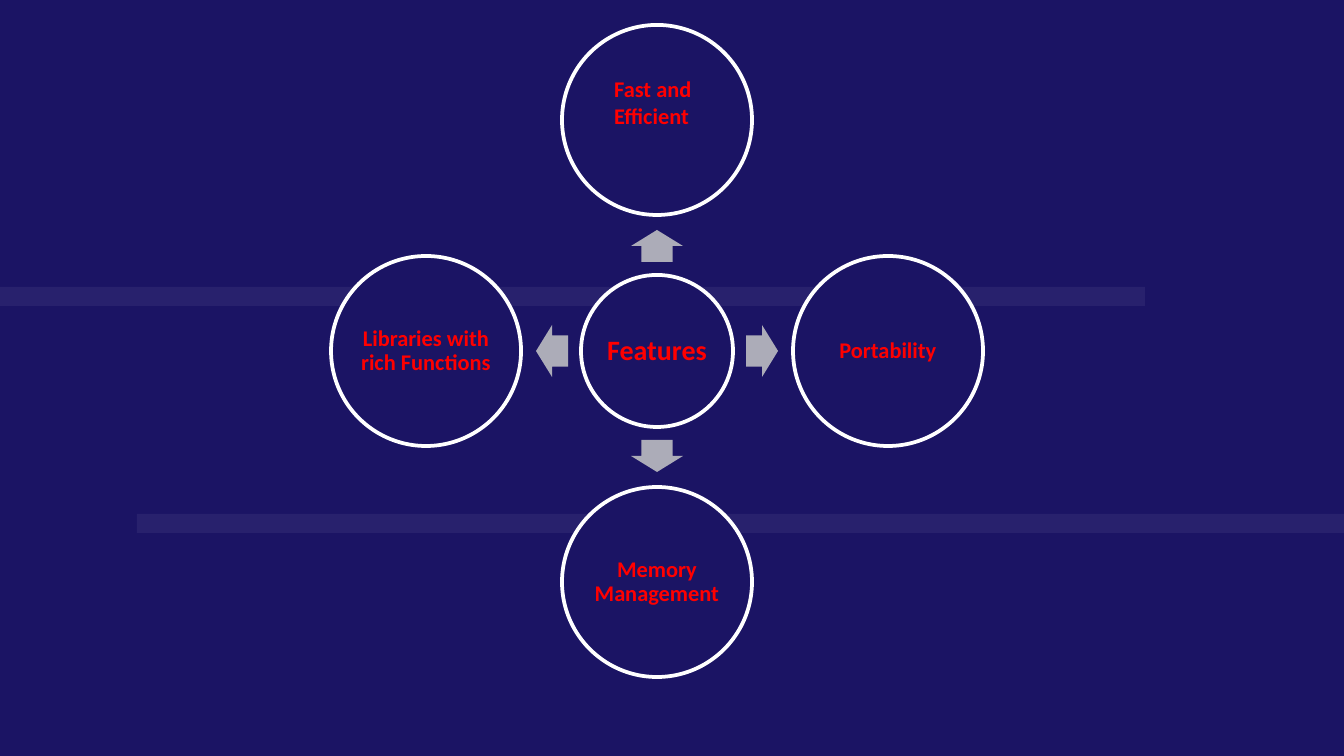
import pptx
import pptx.util
import pptx.dml.color
import pptx.enum.shapes
import pptx.enum.text
import lxml.etree

SHAPES = pptx.enum.shapes.MSO_SHAPE
ALIGN = pptx.enum.text.PP_ALIGN
ANCHOR = pptx.enum.text.MSO_ANCHOR
NAVY, WHITE, GREY, RED = "1B1464", "FFFFFF", "ACACB8", "FF0000"


def px(length):
    return pptx.util.Emu(round(length * 914400 / 134.4))


def colour(value):
    return pptx.dml.color.RGBColor.from_string(value)


class Slide:
    font = "Calibri"

    def __init__(self, page):
        self.page = page
        page.background.fill.solid()
        page.background.fill.fore_color.rgb = colour(NAVY)

    def shape(self, kind, left, top, width, height, fill):
        shape = self.page.shapes.add_shape(kind, px(left), px(top), px(width), px(height))
        shape.shadow.inherit = False
        shape.fill.solid()
        shape.fill.fore_color.rgb = colour(fill)
        shape.line.fill.background()
        return shape

    def band(self, left, top, width):
        band = self.shape(SHAPES.RECTANGLE, left, top, width, 19, WHITE)
        tint = band.fill._xPr.find(".//" + pptx.oxml.ns.qn("a:srgbClr"))
        lxml.etree.SubElement(tint, pptx.oxml.ns.qn("a:alpha"), val="6000")

    def circle(self, x, y, size):
        circle = self.shape(SHAPES.OVAL, x - size / 2, y - size / 2, size, size, NAVY)
        circle.line.color.rgb = colour(WHITE)
        circle.line.width = pptx.util.Pt(2)

    def arrow(self, x, y, angle):
        arrow = self.shape(SHAPES.RIGHT_ARROW, x - 16, y - 26, 32, 52, GREY)
        arrow.adjustments[0] = 0.6
        arrow.adjustments[1] = 0.5
        arrow.rotation = angle

    def text(self, words, left, top, width, height, size=12):
        box = self.page.shapes.add_textbox(px(left), px(top), px(width), px(height))
        box.text_frame.word_wrap = True
        para = box.text_frame.paragraphs[0]
        para.text = words
        para.font.name = self.font
        para.font.size = pptx.util.Pt(size)
        para.font.bold = True
        para.font.color.rgb = colour(RED)
        return box.text_frame

    def label(self, words, x, y, side, size=12):
        frame = self.text(words, x - side / 2, y - side / 2, side, side, size)
        frame.margin_left = frame.margin_right = px(2)
        frame.margin_top = frame.margin_bottom = px(2)
        frame.vertical_anchor = ANCHOR.MIDDLE
        frame.paragraphs[0].alignment = ALIGN.CENTER
        frame.paragraphs[0].line_spacing = 0.9


def main():
    deck = pptx.Presentation()
    deck.slide_width, deck.slide_height = px(1344), px(756)
    slide = Slide(deck.slides.add_slide(deck.slide_layouts[6]))

    # Background bands
    slide.band(0, 287, 1145)
    slide.band(137, 514, 1207)

    # Hub
    hub_x, hub_y = 657, 351
    slide.circle(hub_x, hub_y, 152)
    slide.label("Features", hub_x, hub_y, 108, 15)

    # Features around the hub: direction, arrow angle, label
    features = [
        (0, -1, 270, None),
        (1, 0, 0, "Portability"),
        (0, 1, 90, "Memory Management"),
        (-1, 0, 180, "Libraries with rich Functions"),
    ]
    for across, down, angle, words in features:
        slide.arrow(hub_x + 105 * across, hub_y + 105 * down, angle)
        x, y = hub_x + 231 * across, hub_y + 231 * down
        slide.circle(x, y, 190)
        if words:
            slide.label(words, x, y, 134)

    # The top feature has a left-aligned label
    slide.text("Fast and Efficient", 601, 69, 113, 95)

    deck.save("out.pptx")


if __name__ == "__main__":
    main()
